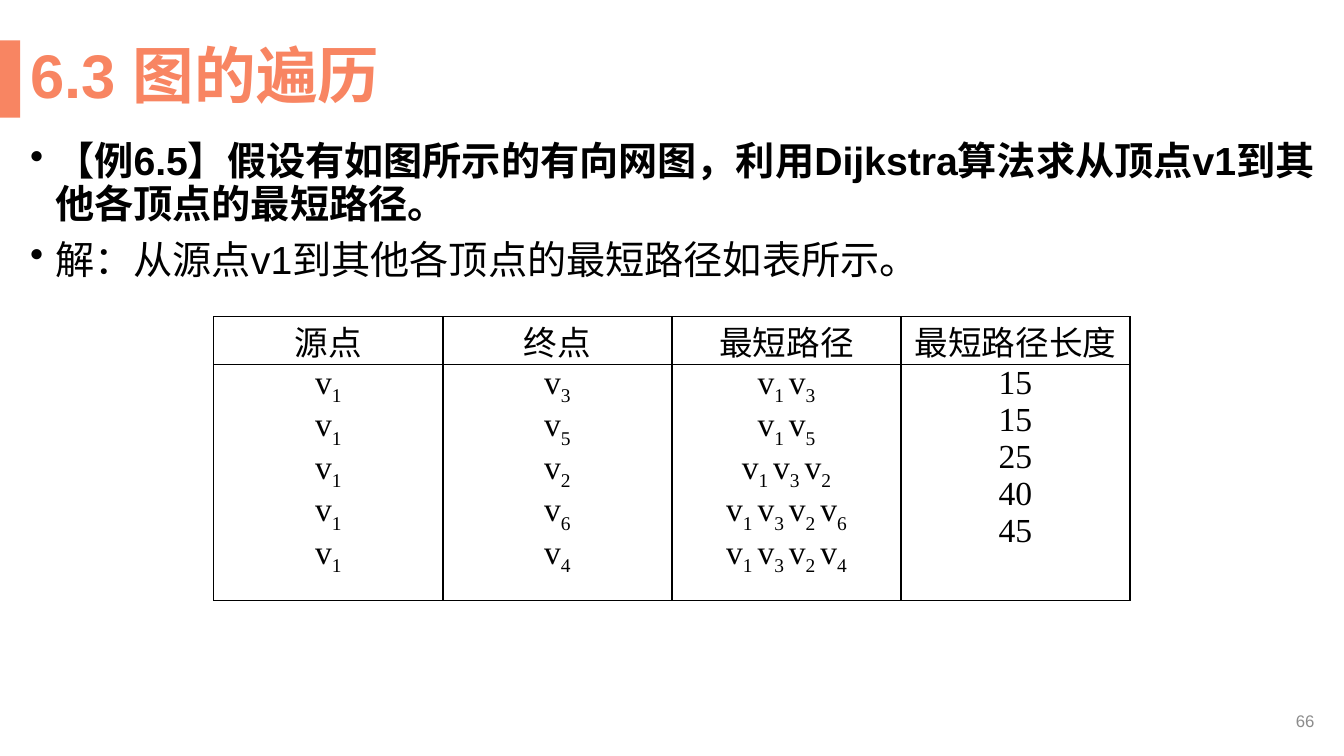
"""Build the slide on shortest paths found from vertex v1."""
from dataclasses import dataclass
import pptx
import pptx.dml.color
import pptx.enum.shapes
import pptx.enum.text
import pptx.oxml
import pptx.oxml.ns
import pptx.util

Pt = pptx.util.Pt
ALIGN = pptx.enum.text.PP_ALIGN
ANCHOR = pptx.enum.text.MSO_ANCHOR
CORAL, BLACK, GREY = "F88562", "000000", "8C8C8C"


@dataclass
class Style:
    size: float
    color: str = BLACK
    bold: bool = False
    font: str = "Arial"


@dataclass
class Box:
    left: float
    top: float
    width: float
    height: float
    anchor: ANCHOR = ANCHOR.TOP

    def place(self) -> list:
        return [Pt(n) for n in (self.left, self.top, self.width, self.height)]


@dataclass
class Line:
    text: str
    style: Style
    align: ALIGN = ALIGN.LEFT
    space: float = 0.9
    before: float = 0
    after: float = 0
    bullet: bool = False


CELL = Style(24, font="Times New Roman")
HEADS = ["源点", "终点", "最短路径", "最短路径长度"]
PATHS = {"v1 v3": 15, "v1 v5": 15, "v1 v3 v2": 25,
         "v1 v3 v2 v6": 40, "v1 v3 v2 v4": 45}


def paint(color: str) -> pptx.dml.color.RGBColor:
    return pptx.dml.color.RGBColor.from_string(color)


def add_run(para, text: str, style: Style, base: int = 0) -> None:
    run = para.add_run()
    run.text = text
    run.font.size = Pt(style.size)
    run.font.name = style.font
    run.font.bold = style.bold
    run.font.color.rgb = paint(style.color)
    if base:
        run._r.get_or_add_rPr().set("baseline", str(base))


def add_text(slide, box: Box, lines: list[Line]) -> None:
    frame = slide.shapes.add_textbox(*box.place()).text_frame
    frame.word_wrap = True
    frame.vertical_anchor = box.anchor
    for i, line in enumerate(lines):
        para = frame.add_paragraph() if i else frame.paragraphs[0]
        para.alignment = line.align
        para.line_spacing = line.space
        para.space_before = Pt(line.before)
        para.space_after = Pt(line.after)
        if line.bullet:
            props = para._p.get_or_add_pPr()
            props.set("marL", str(Pt(18)))
            props.set("indent", str(Pt(-18)))
            mark = pptx.oxml.ns.qn("a:buChar")
            props.makeelement(mark, {})
            props.append(props.makeelement(mark, {"char": "•"}))
        add_run(para, line.text, line.style)


def add_edges(cell) -> None:
    props = cell._tc.get_or_add_tcPr()
    space = pptx.oxml.ns.nsdecls("a")
    for i, side in enumerate("LRTB"):
        props.insert(i, pptx.oxml.parse_xml(
            f'<a:ln{side} {space} w="{Pt(1)}"><a:solidFill>'
            f'<a:srgbClr val="{BLACK}"/></a:solidFill></a:ln{side}>'))


def fill_cell(cell, lines: list[str]) -> None:
    cell.margin_left = cell.margin_right = Pt(5)
    cell.margin_top = cell.margin_bottom = Pt(0)
    cell.fill.background()
    add_edges(cell)
    frame = cell.text_frame
    for i, line in enumerate(lines):
        para = frame.add_paragraph() if i else frame.paragraphs[0]
        para.alignment = ALIGN.CENTER
        if not line.startswith("v"):
            add_run(para, line, CELL)
            continue
        nodes = line.split()
        for j, node in enumerate(nodes, 1):
            add_run(para, node[0], CELL)
            gap = " " if j < len(nodes) else ""
            add_run(para, node[1:] + gap, CELL, -25000)


def add_grid(slide, box: Box, tops: list[float]) -> None:
    table = slide.shapes.add_table(2, len(HEADS), *box.place()).table
    table.first_row = table.horz_banding = False
    for row, high in zip(table.rows, tops):
        row.height = Pt(high)
    for col in table.columns:
        col.width = Pt(box.width / len(HEADS))
    parts = [[walk.split()[0] for walk in PATHS],
             [walk.split()[-1] for walk in PATHS],
             list(PATHS),
             [str(cost) for cost in PATHS.values()]]
    for i, (head, part) in enumerate(zip(HEADS, parts)):
        fill_cell(table.cell(0, i), [head])
        fill_cell(table.cell(1, i), part)


def main() -> None:
    deck = pptx.Presentation()
    deck.slide_width, deck.slide_height = Pt(960), Pt(540)
    slide = deck.slides.add_slide(deck.slide_layouts[6])
    bar = slide.shapes.add_shape(
        pptx.enum.shapes.MSO_SHAPE.RECTANGLE, *Box(0, 28.8, 14.4, 55.2).place())
    bar.shadow.inherit = False
    bar.fill.solid()
    bar.fill.fore_color.rgb = paint(CORAL)
    bar.line.fill.background()
    add_text(slide, Box(14.4, 28.2, 628, 55.4, ANCHOR.MIDDLE),
             [Line("6.3 图的遍历", Style(44, CORAL, True))])
    add_text(slide, Box(14.4, 97.9, 931.7, 388.8), [
        Line("【例6.5】假设有如图所示的有向网图，利用Dijkstra算法求从顶点v1到其他各顶点的最短路径。",
             Style(28, bold=True), bullet=True),
        Line("解：从源点v1到其他各顶点的最短路径如表所示。",
             Style(28), before=10, bullet=True)])
    add_text(slide, Box(730.1, 500.4, 216, 28.8, ANCHOR.MIDDLE),
             [Line("66", Style(12, GREY), ALIGN.RIGHT, 1, after=6)])
    add_grid(slide, Box(152.8, 226.3, 654.4, 202.6), [34, 168.6])
    deck.save("out.pptx")


if __name__ == "__main__":
    main()
